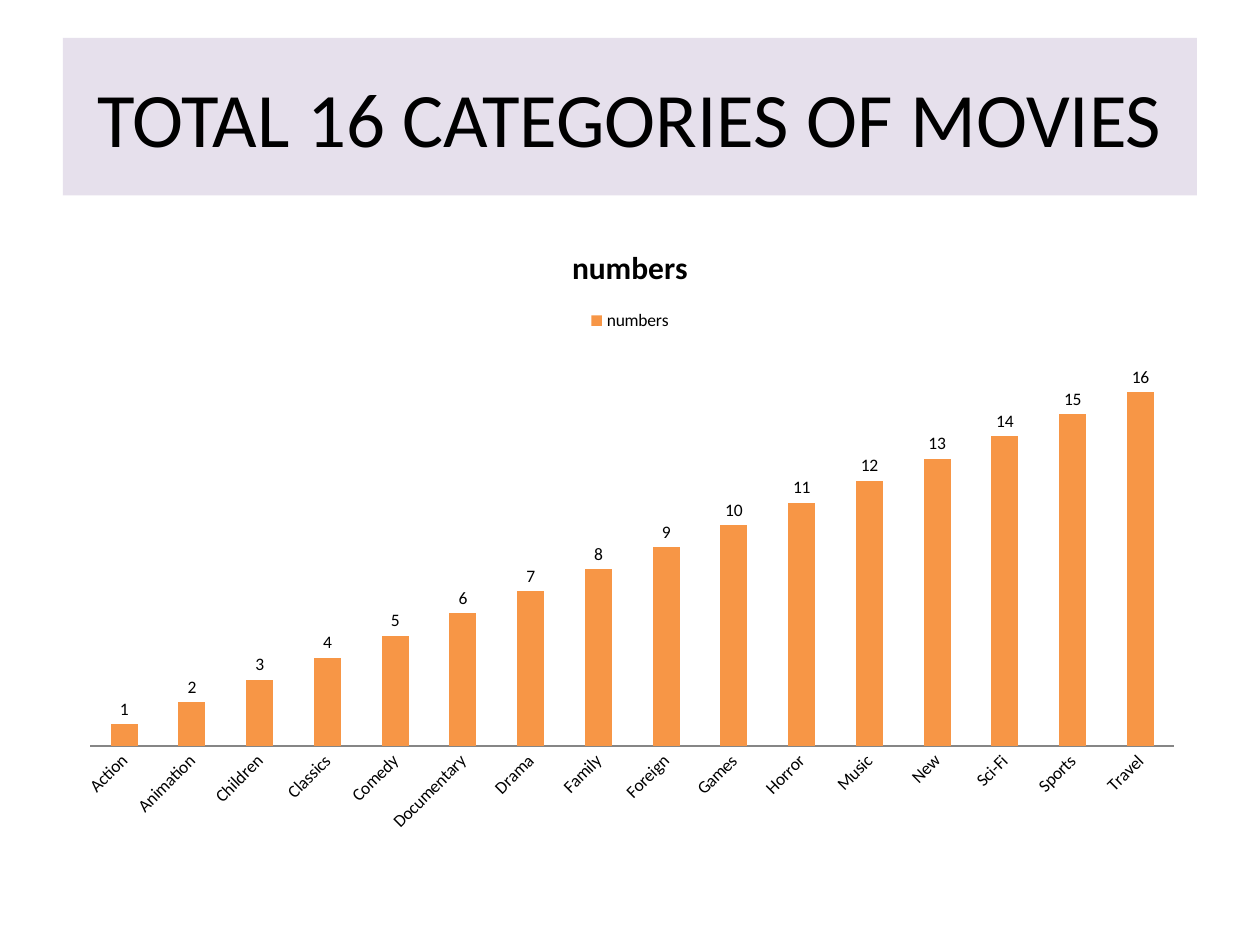
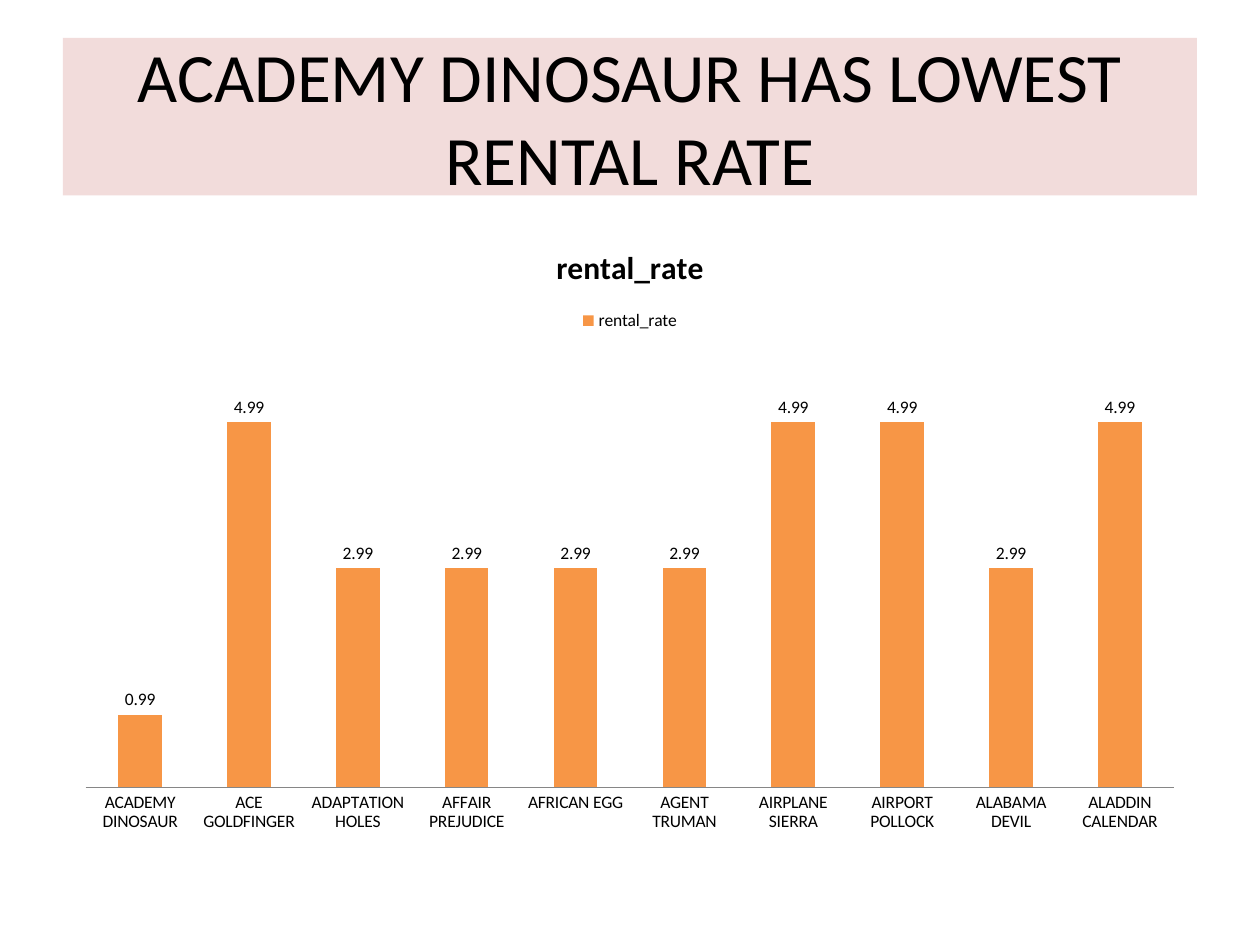
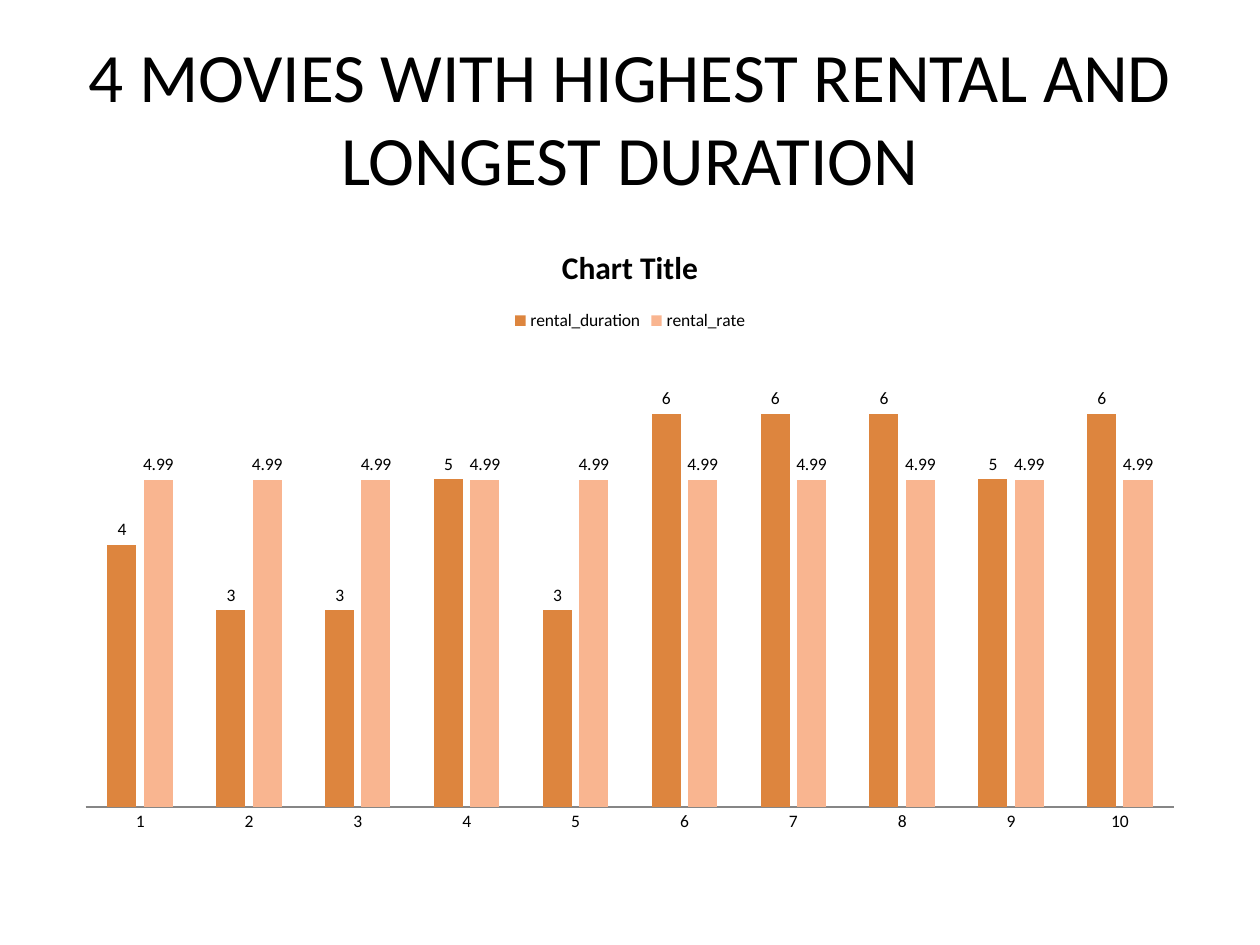
"""Build three slides of movie rental column charts."""
from pptx import Presentation
from pptx.chart.data import CategoryChartData
from pptx.dml.color import RGBColor
from pptx.enum.chart import XL_CHART_TYPE, XL_LABEL_POSITION, XL_LEGEND_POSITION, XL_TICK_MARK
from pptx.enum.text import MSO_ANCHOR, PP_ALIGN
from pptx.util import Pt

COLUMNS = XL_CHART_TYPE.COLUMN_CLUSTERED
OUTSIDE = XL_LABEL_POSITION.OUTSIDE_END
TOP = XL_LEGEND_POSITION.TOP
NO_TICK = XL_TICK_MARK.NONE
MIDDLE = MSO_ANCHOR.MIDDLE
CENTER = PP_ALIGN.CENTER

FONT = "Calibri"
BLACK = RGBColor(0x00, 0x00, 0x00)
AXIS_GRAY = RGBColor(0x86, 0x86, 0x86)
LILAC = RGBColor(0xE6, 0xE0, 0xEC)
ROSE = RGBColor(0xF2, 0xDC, 0xDB)
ORANGE = RGBColor(0xF7, 0x96, 0x46)
DARK_ORANGE = RGBColor(0xDD, 0x85, 0x3E)
PEACH = RGBColor(0xF9, 0xB5, 0x90)

PX = 9144
SLIDE_SIZE = (1000, 750)
TITLE_AREA = (50, 30, 900, 125)
CHART_AREA = (50, 175, 900, 495)

SLIDES = [
    {
        "title": "TOTAL 16 CATEGORIES OF MOVIES", "size": 44, "band": LILAC,
        "chart_title": "numbers", "top_value": 18,
        "categories": ["Action", "Animation", "Children", "Classics", "Comedy", "Documentary",
                       "Drama", "Family", "Foreign", "Games", "Horror", "Music", "New",
                       "Sci-Fi", "Sports", "Travel"],
        "series": [("numbers", list(range(1, 17)), ORANGE)],
    },
    {
        "title": "ACADEMY DINOSAUR HAS LOWEST RENTAL RATE", "size": 39.6, "band": ROSE,
        "chart_title": "rental_rate", "top_value": 6,
        "categories": ["ACADEMY DINOSAUR", "ACE GOLDFINGER", "ADAPTATION HOLES",
                       "AFFAIR PREJUDICE", "AFRICAN EGG", "AGENT TRUMAN", "AIRPLANE SIERRA",
                       "AIRPORT POLLOCK", "ALABAMA DEVIL", "ALADDIN CALENDAR"],
        "series": [("rental_rate",
                    [0.99, 4.99, 2.99, 2.99, 2.99, 2.99, 4.99, 4.99, 2.99, 4.99], ORANGE)],
    },
    {
        "title": "4 MOVIES WITH HIGHEST RENTAL AND LONGEST DURATION", "size": 39.6, "band": None,
        "chart_title": "Chart Title", "top_value": 7,
        "categories": [str(rank) for rank in range(1, 11)],
        "series": [("rental_duration", [4, 3, 3, 5, 3, 6, 6, 6, 5, 6], DARK_ORANGE),
                   ("rental_rate", [4.99] * 10, PEACH)],
    },
]


def scaled(lengths):
    return [length * PX for length in lengths]


def set_font(font, size, bold=False):
    font.name = FONT
    font.size = Pt(size)
    font.bold = bold
    font.color.rgb = BLACK


def add_title(page, content):
    box = page.shapes.add_textbox(*scaled(TITLE_AREA))
    if content["band"] is not None:
        box.fill.solid()
        box.fill.fore_color.rgb = content["band"]
    frame = box.text_frame
    frame.word_wrap = True
    frame.vertical_anchor = MIDDLE
    para = frame.paragraphs[0]
    para.text = content["title"]
    para.alignment = CENTER
    set_font(para.font, content["size"])


def add_columns(page, content):
    data = CategoryChartData()
    data.categories = content["categories"]
    for name, values, _ in content["series"]:
        data.add_series(name, values)
    chart = page.shapes.add_chart(COLUMNS, *scaled(CHART_AREA), data).chart
    set_font(chart.font, 10)

    chart.has_title = True
    para = chart.chart_title.text_frame.paragraphs[0]
    para.text = content["chart_title"]
    set_font(para.font, 18, bold=True)
    chart.has_legend = True
    chart.legend.position = TOP
    chart.legend.include_in_layout = False

    category_axis = chart.category_axis
    category_axis.major_tick_mark = NO_TICK
    category_axis.format.line.color.rgb = AXIS_GRAY
    category_axis.format.line.width = Pt(0.75)
    value_axis = chart.value_axis
    value_axis.visible = False
    value_axis.has_major_gridlines = False
    value_axis.minimum_scale = 0
    value_axis.maximum_scale = content["top_value"]

    plot = chart.plots[0]
    plot.gap_width = 150
    plot.overlap = -25
    plot.vary_by_categories = False
    plot.has_data_labels = True
    plot.data_labels.show_value = True
    plot.data_labels.position = OUTSIDE
    for series, (_, _, color) in zip(plot.series, content["series"]):
        series.format.fill.solid()
        series.format.fill.fore_color.rgb = color


def main():
    deck = Presentation()
    deck.slide_width, deck.slide_height = scaled(SLIDE_SIZE)
    for content in SLIDES:
        page = deck.slides.add_slide(deck.slide_layouts[6])
        add_title(page, content)
        add_columns(page, content)
    deck.save("out.pptx")


if __name__ == "__main__":
    main()
